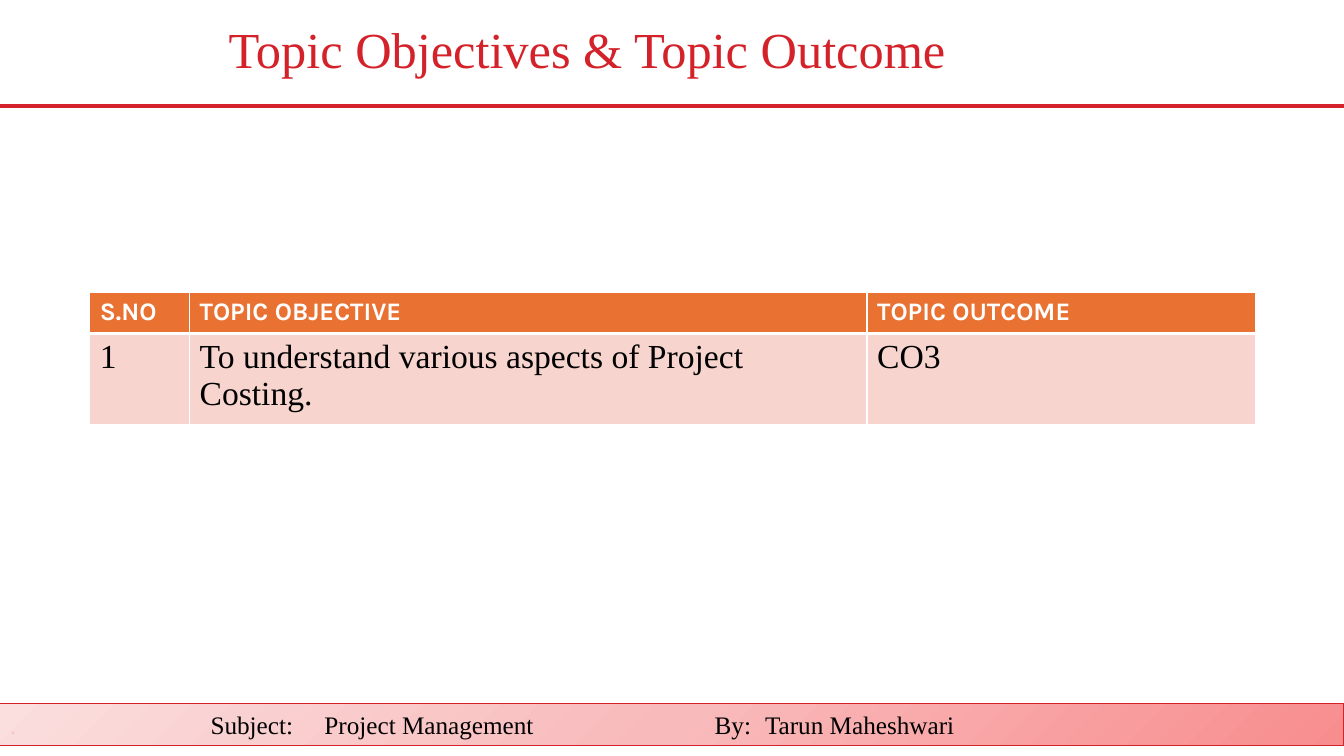
from copy import deepcopy

from lxml import etree
from pptx import Presentation
from pptx.dml.color import RGBColor
from pptx.enum import shapes, text
from pptx.oxml import ns
from pptx.util import Inches, Pt

RED = RGBColor(0xD4, 0x22, 0x2A)
ORANGE = RGBColor(0xE9, 0x71, 0x32)
PINK = RGBColor(0xF7, 0xD5, 0xCE)
FAINT = RGBColor(0xFA, 0xC6, 0xC7)
BLACK = RGBColor(0, 0, 0)
WHITE = RGBColor(255, 255, 255)
SERIF = "Times New Roman"

TITLE = "Topic Objectives & Topic Outcome"
FOOTER = ["Subject:", "Project Management", "By:", "Tarun Maheshwari"]
FOOTER_TABS = [1.99, 3.12, 6.99, 7.49]
FOOTER_GRADIENT = [
    (0, RGBColor(0xF8, 0x8D, 0x8E)),
    (0.5, RGBColor(0xF9, 0xBA, 0xBB)),
    (1, RGBColor(0xFB, 0xDE, 0xDE)),
]
ROWS = [
    ["S.NO", "TOPIC OBJECTIVE", "TOPIC OUTCOME"],
    ["1", "To understand various aspects of Project Costing.", "CO3"],
]
COLUMN_WIDTHS = [0.99, 6.72, 3.85]
ROW_HEIGHTS = [0.41, 0.83]
ROW_STYLES = [
    ("Karla", 18, WHITE, True, ORANGE, {"L": 1, "R": 1, "T": 1, "B": 3}),
    (SERIF, 24, BLACK, False, PINK, {"L": 1, "R": 1, "T": 3, "B": 1}),
]


def add_run(paragraph, words, font, size, color, bold=False):
    run = paragraph.add_run()
    run.text = words
    run.font.name = font
    run.font.size = Pt(size)
    run.font.color.rgb = color
    run.font.bold = bold


def add_borders(cell, widths):
    properties = cell._tc.get_or_add_tcPr()
    for side, width in widths.items():
        line = etree.SubElement(properties, ns.qn(f"a:ln{side}"), w=str(Pt(width)))
        fill = etree.SubElement(line, ns.qn("a:solidFill"))
        etree.SubElement(fill, ns.qn("a:srgbClr"), val=str(WHITE))


def add_rule(slide):
    rule = slide.shapes.add_connector(
        shapes.MSO_CONNECTOR.STRAIGHT, 0, Inches(1.05), Inches(13.35), Inches(1.05))
    rule.line.color.rgb = RED
    rule.line.width = Pt(3)
    etree.SubElement(rule._element.spPr, ns.qn("a:effectLst"))


def add_footer(slide):
    footer = slide.shapes.add_shape(
        shapes.MSO_SHAPE.RECTANGLE, 0, Inches(6.98), Inches(13.33), Inches(0.42))
    footer.shadow.inherit = False
    footer.line.color.rgb = RED
    footer.line.width = Pt(0.75)
    footer.fill.gradient()
    footer.fill.gradient_angle = 135
    stops = footer._element.spPr.find(".//" + ns.qn("a:gsLst"))
    stops.append(deepcopy(stops[0]))
    for stop, (position, color) in zip(footer.fill.gradient_stops, FOOTER_GRADIENT):
        stop.position = position
        stop.color.rgb = color
    footer.text_frame.vertical_anchor = text.MSO_ANCHOR.MIDDLE
    paragraph = footer.text_frame.paragraphs[0]
    paragraph.alignment = text.PP_ALIGN.LEFT
    tabs = etree.SubElement(paragraph._p.get_or_add_pPr(), ns.qn("a:tabLst"))
    for position in FOOTER_TABS:
        etree.SubElement(tabs, ns.qn("a:tab"), pos=str(Inches(position)), algn="l")
    add_run(paragraph, ".", SERIF, 18, FAINT)
    for words in FOOTER:
        add_run(paragraph, "\t" + words, SERIF, 18, BLACK)


def add_title(slide):
    title = slide.shapes.add_textbox(
        Inches(2.17), Inches(0.1), Inches(11.11), Inches(0.84))
    title.text_frame.word_wrap = True
    title.text_frame.vertical_anchor = text.MSO_ANCHOR.MIDDLE
    paragraph = title.text_frame.paragraphs[0]
    paragraph.line_spacing = 0.9
    add_run(paragraph, TITLE, SERIF, 36, RED)


def add_objectives(slide):
    table = slide.shapes.add_table(
        len(ROWS), len(COLUMN_WIDTHS), Inches(0.89), Inches(2.9),
        Inches(sum(COLUMN_WIDTHS)), Inches(sum(ROW_HEIGHTS))).table
    for column, width in zip(table.columns, COLUMN_WIDTHS):
        column.width = Inches(width)
    for row, height, words, style in zip(table.rows, ROW_HEIGHTS, ROWS, ROW_STYLES):
        row.height = Inches(height)
        font, size, color, bold, background, borders = style
        for cell, label in zip(row.cells, words):
            add_borders(cell, borders)
            cell.fill.solid()
            cell.fill.fore_color.rgb = background
            add_run(cell.text_frame.paragraphs[0], label, font, size, color, bold)


def main():
    presentation = Presentation()
    presentation.slide_width = Inches(13.33)
    presentation.slide_height = Inches(7.5)
    slide = presentation.slides.add_slide(presentation.slide_layouts[6])
    add_rule(slide)
    add_footer(slide)
    add_title(slide)
    add_objectives(slide)
    presentation.save("out.pptx")


if __name__ == "__main__":
    main()
